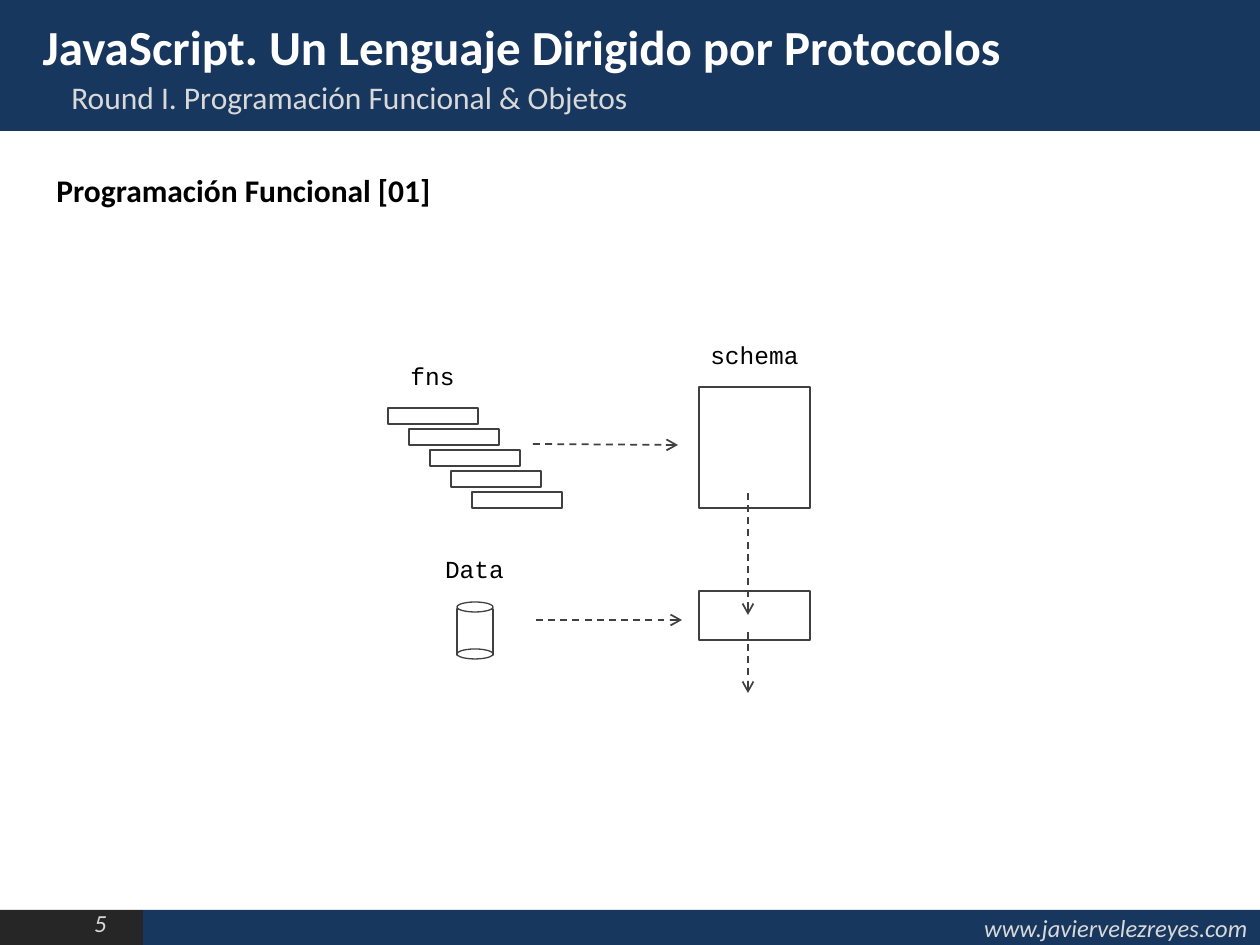
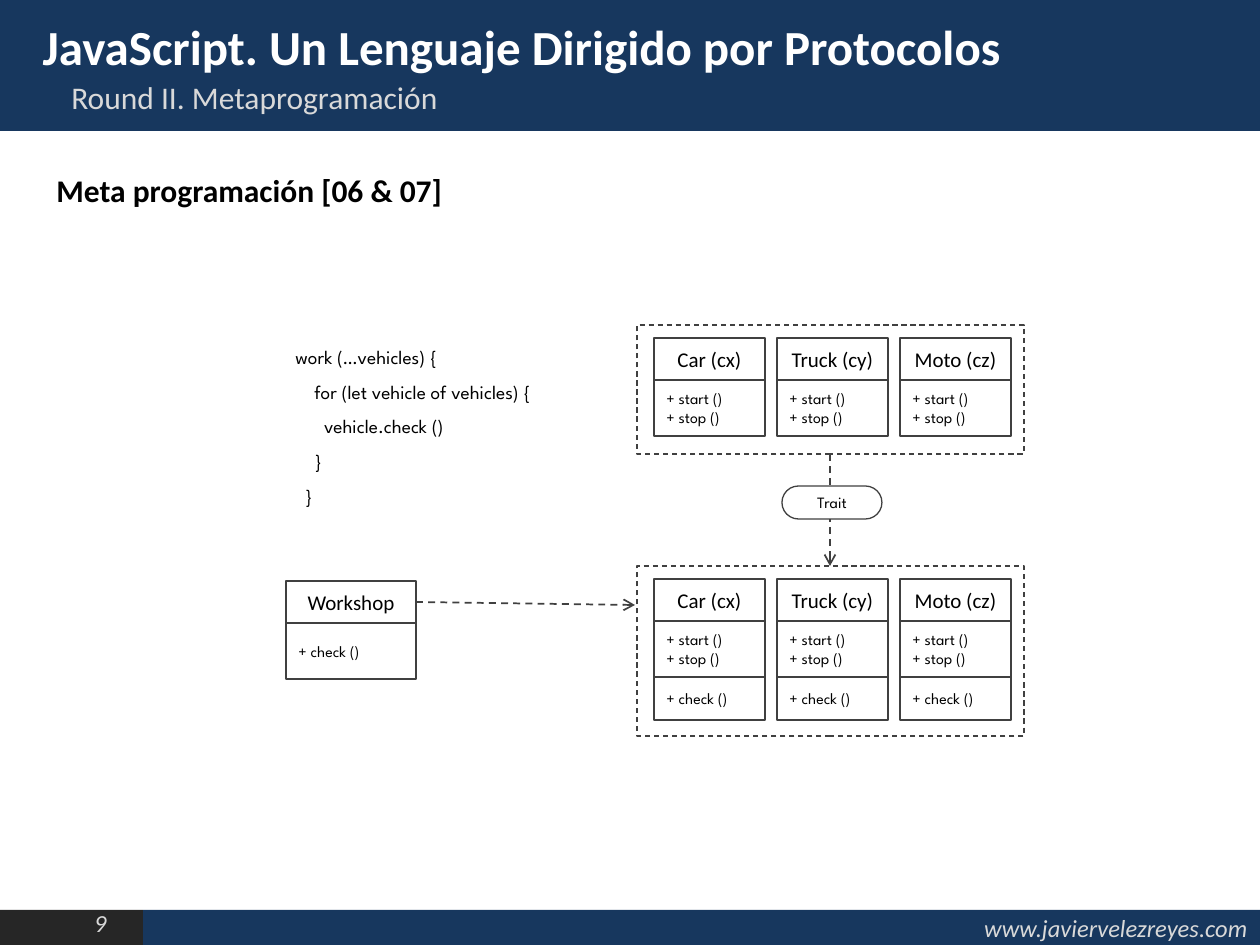
"""Builds two slides on functional programming and metaprogramming in JavaScript."""
from dataclasses import dataclass, replace

from lxml.etree import SubElement
from pptx import Presentation
from pptx.dml.color import RGBColor
from pptx.enum.dml import MSO_LINE_DASH_STYLE as Dash
from pptx.enum.shapes import MSO_CONNECTOR as Connector, MSO_SHAPE as Preset
from pptx.enum.text import MSO_ANCHOR as Anchor, MSO_AUTO_SIZE as AutoSize, PP_ALIGN as Align
from pptx.oxml.ns import qn
from pptx.shapes.autoshape import Shape
from pptx.slide import Slide
from pptx.text.text import TextFrame
from pptx.util import Emu, Pt

EMU_PER_PX = 914400 / 126
SLIDE_WIDTH, SLIDE_HEIGHT = 1260, 945
COLORS = {
    "band": "17375E",
    "corner": "262626",
    "pale": "D9D9D9",
    "line": "404040",
    "white": "FFFFFF",
    "black": "000000",
}
DECK_TITLE = "JavaScript. Un Lenguaje Dirigido por Protocolos"
WEB_ADDRESS = "www.javiervelezreyes.com"
CARD_WIDTH, CARD_STEP, NAME_HEIGHT, METHODS_HEIGHT = 111, 123, 42, 56
CARDS_LEFT = 654
VEHICLES = ["Car (cx)", "Truck (cy)", "Moto (cz)"]
VEHICLE_METHODS = ["+ start ()", "+ stop ()"]
CHECK_METHOD = ["+ check ()"]
WORK_CODE = [
    "work (…vehicles) {",
    "    for (let vehicle of vehicles) {",
    "      vehicle.check ()",
    "    }",
    "  }",
]


@dataclass(frozen=True)
class Box:
    left: int
    top: int
    width: int
    height: int


@dataclass(frozen=True)
class TextStyle:
    size: int
    font: str = "Calibri"
    color: str = "black"
    bold: bool = False
    italic: bool = False
    align: Align = Align.LEFT
    anchor: Anchor = Anchor.TOP
    line_spacing: float = 1.0


@dataclass(frozen=True)
class Label:
    text: str
    left: int
    top: int


@dataclass(frozen=True)
class Arrow:
    start_x: int
    start_y: int
    end_x: int
    end_y: int


TITLE = TextStyle(28, color="white", bold=True)
SUBTITLE = TextStyle(18, color="pale")
HEADING = TextStyle(18, bold=True)
FOOTER = TextStyle(14, color="pale", italic=True, align=Align.RIGHT)
ADDRESS = replace(FOOTER, anchor=Anchor.MIDDLE)
DIAGRAM_LABEL = TextStyle(14, "Courier New", align=Align.CENTER)
CLASS_NAME = TextStyle(12, align=Align.CENTER, anchor=Anchor.MIDDLE)
METHOD = TextStyle(9, "League Spartan", anchor=Anchor.MIDDLE)
TRAIT = replace(METHOD, align=Align.CENTER)
CODE = replace(METHOD, size=11, line_spacing=1.5)


def px(length: int) -> Emu:
    return Emu(round(length * EMU_PER_PX))


def place(box: Box) -> tuple[Emu, Emu, Emu, Emu]:
    return px(box.left), px(box.top), px(box.width), px(box.height)


def rgb(name: str) -> RGBColor:
    return RGBColor.from_string(COLORS[name])


def write(frame: TextFrame, lines: list[str], style: TextStyle) -> None:
    frame.word_wrap = True
    frame.auto_size = AutoSize.NONE
    frame.vertical_anchor = style.anchor
    for index, line in enumerate(lines):
        paragraph = frame.add_paragraph() if index else frame.paragraphs[0]
        paragraph.alignment = style.align
        paragraph.line_spacing = style.line_spacing
        run = paragraph.add_run()
        run.text = line
        run.font.name = style.font
        run.font.size = Pt(style.size)
        run.font.bold = style.bold
        run.font.italic = style.italic
        run.font.color.rgb = rgb(style.color)


def add_text(slide: Slide, box: Box, lines: list[str], style: TextStyle) -> None:
    write(slide.shapes.add_textbox(*place(box)).text_frame, lines, style)


def add_band(slide: Slide, box: Box, color: str) -> Shape:
    band = slide.shapes.add_shape(Preset.RECTANGLE, *place(box))
    band.shadow.inherit = False
    band.fill.solid()
    band.fill.fore_color.rgb = rgb(color)
    band.line.fill.background()
    return band


def add_outlined(slide: Slide, box: Box, preset: Preset = Preset.RECTANGLE) -> Shape:
    shape = slide.shapes.add_shape(preset, *place(box))
    shape.shadow.inherit = False
    shape.fill.solid()
    shape.fill.fore_color.rgb = rgb("white")
    shape.line.color.rgb = rgb("line")
    shape.line.width = Pt(0.75)
    return shape


def add_frame(slide: Slide, box: Box) -> None:
    frame = add_outlined(slide, box)
    frame.fill.background()
    frame.line.dash_style = Dash.DASH


def add_arrow(slide: Slide, arrow: Arrow) -> None:
    ends = map(px, (arrow.start_x, arrow.start_y, arrow.end_x, arrow.end_y))
    connector = slide.shapes.add_connector(Connector.STRAIGHT, *ends)
    connector.line.color.rgb = rgb("line")
    connector.line.width = Pt(1)
    connector.line.dash_style = Dash.DASH
    properties = connector.element.spPr
    SubElement(properties.find(qn("a:ln")), qn("a:tailEnd"), type="arrow")
    SubElement(properties, qn("a:effectLst"))


def add_class_part(slide: Slide, box: Box, lines: list[str], style: TextStyle) -> None:
    write(add_outlined(slide, box).text_frame, lines, style)


def add_class(slide: Slide, left: int, top: int, width: int, name: str, methods: list[str]) -> None:
    add_class_part(slide, Box(left, top + NAME_HEIGHT, width, METHODS_HEIGHT), methods, METHOD)
    add_class_part(slide, Box(left, top, width, NAME_HEIGHT), [name], CLASS_NAME)


def add_vehicles(slide: Slide, top: int, with_check: bool) -> None:
    for index, name in enumerate(VEHICLES):
        left = CARDS_LEFT + index * CARD_STEP
        add_class(slide, left, top, CARD_WIDTH, name, VEHICLE_METHODS)
        if with_check:
            check_top = top + NAME_HEIGHT + METHODS_HEIGHT
            add_class_part(slide, Box(left, check_top, CARD_WIDTH, 43), CHECK_METHOD, METHOD)


def add_base_slide(presentation: Presentation, number: int, subtitle: str, heading: str) -> Slide:
    slide = presentation.slides.add_slide(presentation.slide_layouts[5])
    add_band(slide, Box(0, 910, 143, 35), "corner")
    footer = add_band(slide, Box(143, 910, 1117, 35), "band")
    write(footer.text_frame, [WEB_ADDRESS], ADDRESS)
    add_band(slide, Box(0, 0, SLIDE_WIDTH, 131), "band")
    add_text(slide, Box(9, 902, 110, 43), [str(number)], FOOTER)
    add_text(slide, Box(59, 72, 1157, 49), [subtitle], SUBTITLE)
    title = slide.shapes.title
    title.left, title.top, title.width, title.height = place(Box(30, 10, 1186, 59))
    write(title.text_frame, [DECK_TITLE], TITLE)
    title.element.getparent().append(title.element)
    add_text(slide, Box(44, 165, 732, 49), [heading], HEADING)
    return slide


def build_functional_slide(presentation: Presentation) -> None:
    slide = add_base_slide(
        presentation, 5, "Round I. Programación Funcional & Objetos", "Programación Funcional [01]"
    )
    add_outlined(slide, Box(457, 609, 36, 46))
    for lid_top in (649, 602):
        add_outlined(slide, Box(457, lid_top, 36, 10), Preset.OVAL)
    for index in range(5):
        add_outlined(slide, Box(388 + 21 * index, 408 + 21 * index, 90, 16))
    for schema_box in (Box(699, 387, 111, 121), Box(699, 591, 111, 49)):
        add_outlined(slide, schema_box)
    for label in (Label("Data", 388, 548), Label("fns", 346, 355), Label("schema", 668, 334)):
        add_text(slide, Box(label.left, label.top, 173, 43), [label.text], DIAGRAM_LABEL)
    for arrow in (
        Arrow(533, 444, 678, 445),
        Arrow(748, 493, 748, 615),
        Arrow(536, 620, 682, 620),
        Arrow(748, 632, 748, 693),
    ):
        add_arrow(slide, arrow)


def build_metaprogramming_slide(presentation: Presentation) -> None:
    slide = add_base_slide(
        presentation, 9, "Round II. Metaprogramación", "Meta programación [06 & 07]"
    )
    add_vehicles(slide, 579, with_check=True)
    add_frame(slide, Box(637, 566, 387, 170))
    add_class(slide, 286, 581, 130, "Workshop", CHECK_METHOD)
    add_arrow(slide, Arrow(416, 602, 635, 605))
    add_text(slide, Box(283, 309, 335, 223), WORK_CODE, CODE)
    add_vehicles(slide, 338, with_check=False)
    add_frame(slide, Box(637, 325, 387, 129))
    add_arrow(slide, Arrow(830, 454, 830, 566))
    trait = add_outlined(slide, Box(782, 486, 100, 33), Preset.ROUNDED_RECTANGLE)
    trait.adjustments[0] = 0.5
    write(trait.text_frame, ["Trait"], TRAIT)


def main() -> None:
    presentation = Presentation()
    presentation.slide_width = px(SLIDE_WIDTH)
    presentation.slide_height = px(SLIDE_HEIGHT)
    build_functional_slide(presentation)
    build_metaprogramming_slide(presentation)
    presentation.save("out.pptx")


if __name__ == "__main__":
    main()
